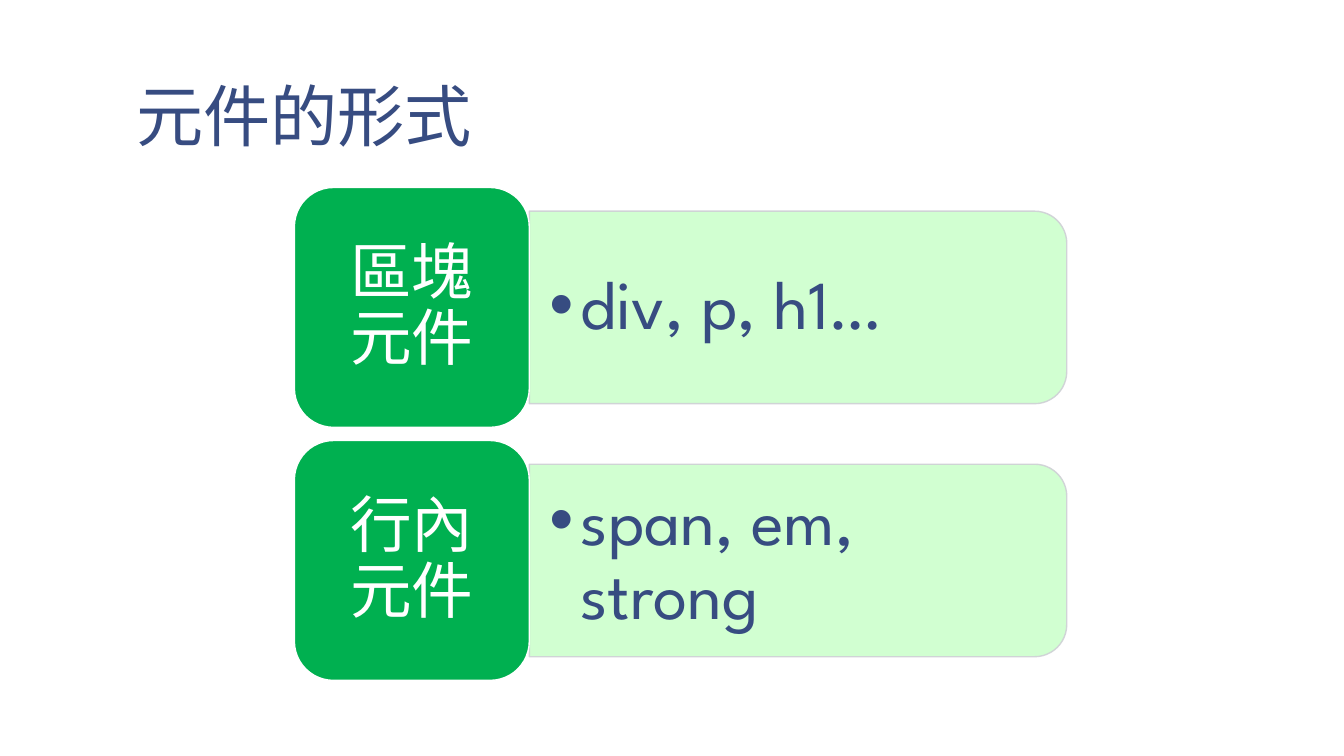
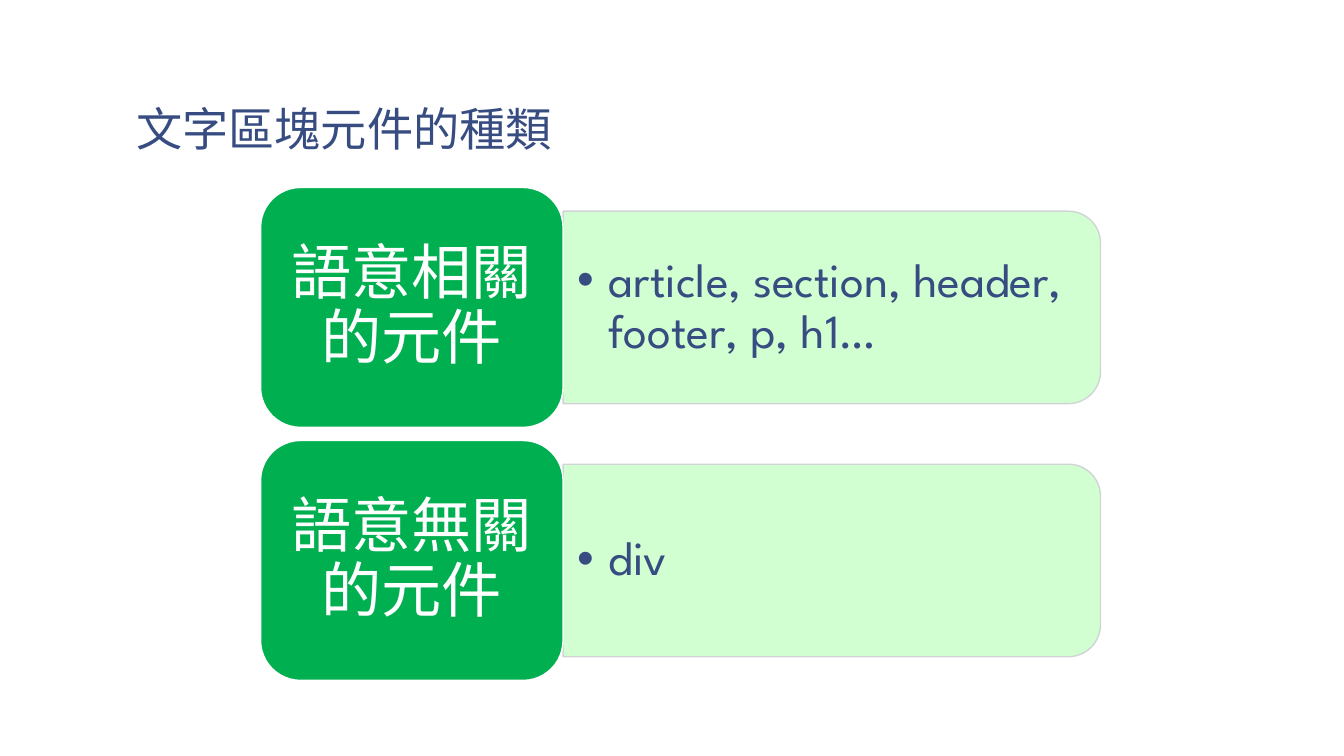
from lxml import etree
from pptx import Presentation
from pptx.dml.color import RGBColor
from pptx.enum import shapes, text
from pptx.oxml import ns
from pptx.util import Inches, Pt

NAVY = RGBColor(0x37, 0x4C, 0x81)
GREEN = RGBColor(0x00, 0xB0, 0x50)
MINT = RGBColor(0xCC, 0xFF, 0xCC)
GREY = RGBColor(0xCF, 0xD0, 0xD6)
WHITE = RGBColor(0xFF, 0xFF, 0xFF)
FONT = "League Spartan"

TOP, STEP = 1.86, 2.51        # first row, distance between rows
HIGH = 2.38                   # green block
LONG, DEEP = 5.33, 1.91       # mint panel


def paint(box, fill, line):
    box.shadow.inherit = False
    box.fill.solid()
    box.fill.fore_color.rgb = fill
    box.line.color.rgb = line
    box.line.width = Pt(1)
    # Fills and lines of the panels let a little of the page through
    if fill == MINT:
        for clr in box._element.spPr.iter(ns.qn("a:srgbClr")):
            etree.SubElement(clr, ns.qn("a:alpha"), val="90000")


def write(box, words, size, color, font, inset, space, anchor):
    frame = box.text_frame
    frame.word_wrap = True
    frame.vertical_anchor = anchor
    frame.margin_left = frame.margin_right = Inches(inset)
    frame.margin_top = frame.margin_bottom = Inches(inset / 2)
    frame.text = words
    para = frame.paragraphs[0]
    para.line_spacing = space
    run = para.runs[0].font
    run.size, run.name, run.color.rgb = Pt(size), font, color
    return para


# Title, title size, block width, block size, panel size, panel inset, rows
pages = [
    ("元件的形式", 48, 2.33, 44, 49, 0.2,
     [("區塊元件", "div, p, h1…"), ("行內元件", "span, em, strong")]),
    ("文字區塊元件的種類", 33, 3, 43, 34, 0.14,
     [("語意相關的元件", "article, section, header, footer, p, h1…"),
      ("語意無關的元件", "div")]),
]

deck = Presentation()
deck.slide_width, deck.slide_height = Inches(13.33), Inches(7.5)
MID = text.MSO_ANCHOR.MIDDLE

for title, head, wide, big, small, inset, rows in pages:
    slide = deck.slides.add_slide(deck.slide_layouts[6])
    items = slide.shapes

    # Title
    box = items.add_textbox(Inches(1.22), Inches(0.08), Inches(11.11), Inches(1.53))
    write(box, title, head, NAVY, "Arial", 0.13, 0.85, text.MSO_ANCHOR.BOTTOM)

    # Rows, centred as a whole
    left = 6.75 - (wide + LONG) / 2
    edge = left + wide
    for i, (name, tags) in enumerate(rows):
        top = TOP + i * STEP
        mid = top + HIGH / 2

        # Mint panel, turned so that its round corners face right
        panel = items.add_shape(
            shapes.MSO_SHAPE.ROUND_2_SAME_RECTANGLE,
            Inches(edge + (LONG - DEEP) / 2), Inches(mid - LONG / 2),
            Inches(DEEP), Inches(LONG))
        panel.rotation = 90
        paint(panel, MINT, GREY)

        # Bulleted tags
        box = items.add_textbox(Inches(edge), Inches(mid - 0.86),
                                Inches(5.24), Inches(1.72))
        para = write(box, tags, small, NAVY, FONT, inset, 0.9, MID)
        props = para._p.get_or_add_pPr()
        props.set("marL", str(Inches(0.31)))
        props.set("indent", str(-Inches(0.31)))
        etree.SubElement(props, ns.qn("a:buFont"), typeface="Arial")
        etree.SubElement(props, ns.qn("a:buChar"), char="•")

        # Green block
        block = items.add_shape(shapes.MSO_SHAPE.ROUNDED_RECTANGLE, Inches(left),
                                Inches(top), Inches(wide), Inches(HIGH))
        paint(block, GREEN, WHITE)
        para = write(block, name, big, WHITE, FONT, 0.18, 0.9, MID)
        para.alignment = text.PP_ALIGN.CENTER

deck.save("out.pptx")
